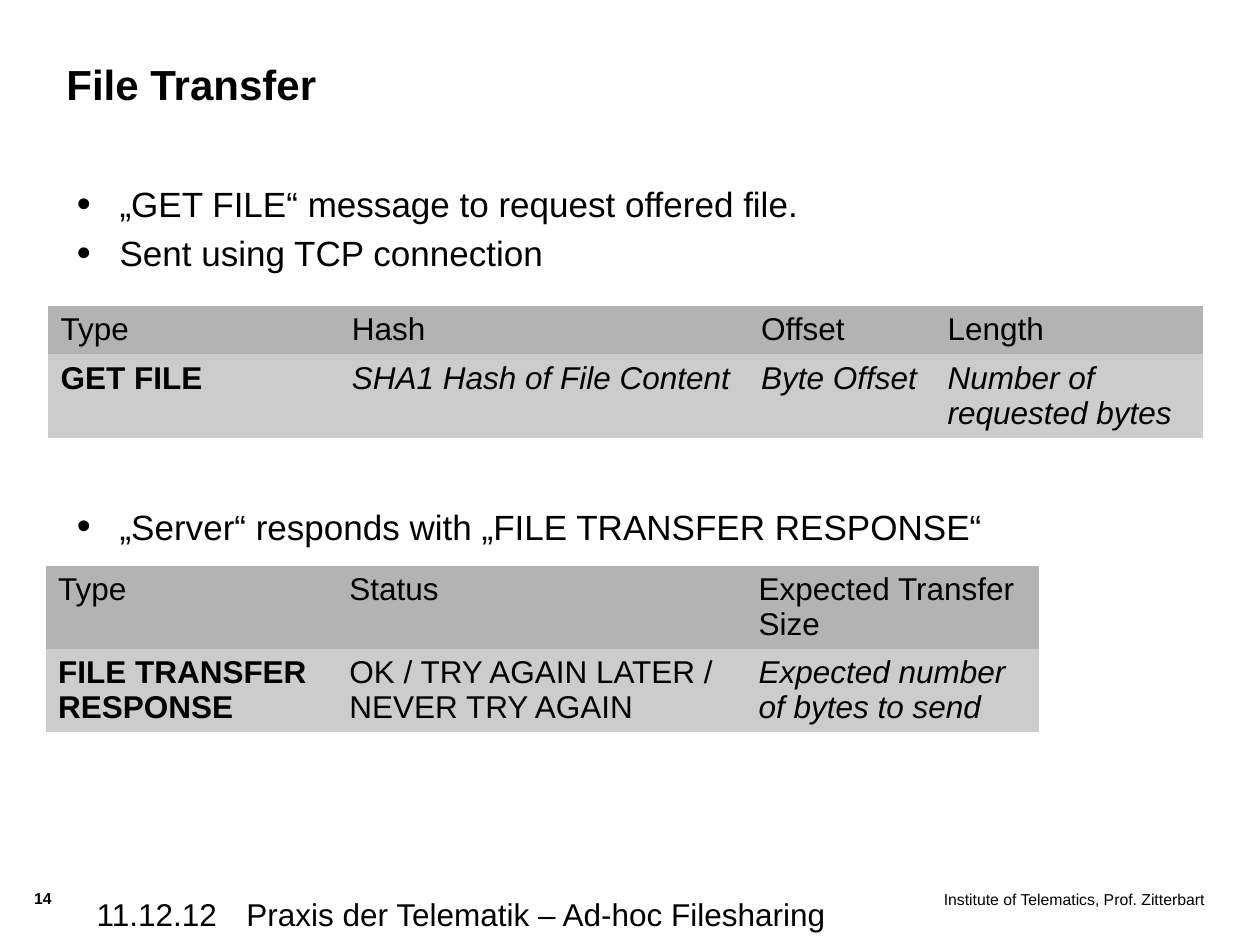
from dataclasses import dataclass
from lxml.etree import SubElement
from pptx import Presentation
from pptx.dml.color import RGBColor as Rgb
from pptx.enum.text import MSO_ANCHOR as Anchor, MSO_AUTO_SIZE as Fit, PP_ALIGN as Align
from pptx.oxml.ns import qn
from pptx.util import Cm, Pt

COLORS = {"text": "000000", "head": "B3B3B3", "row": "CCCCCC", "blank": "FFFFFF"}
FONT = "Arial"
PLAIN = "{2D5ABB26-0587-4C30-8999-92F81FD0307C}"  # table style without grid
PAD = (0.25, 0.13)


@dataclass
class Box:
    left: float
    top: float
    width: float
    height: float


@dataclass
class Note:
    text: str
    box: Box
    size: int = 18
    bold: bool = False
    align: Align = Align.LEFT
    pad: tuple = PAD


@dataclass
class Grid:
    left: float
    top: float
    cols: list
    rows: list
    cells: list  # each row holds (text, style) pairs; "b" is bold, "i" italic


def write(frame, text: str, *, size: int = 18, bold: bool = False,
          italic: bool = False, align: Align = Align.LEFT, bullet: bool = False,
          gap: float = 0, pad: tuple = PAD, anchor: Anchor = Anchor.TOP) -> None:
    """Fill a text frame, one paragraph per line of text."""
    frame.margin_left = frame.margin_right = Cm(pad[0])
    frame.margin_top = frame.margin_bottom = Cm(pad[1])
    frame.vertical_anchor = anchor
    for i, line in enumerate(text.split("\n")):
        para = frame.paragraphs[0] if i == 0 else frame.add_paragraph()
        para.alignment = align
        para.space_before = Pt(gap if i else 0)
        if bullet:
            props = para._p.get_or_add_pPr()
            props.set("marL", str(Cm(0.86)))
            props.set("indent", str(-Cm(0.86)))
            SubElement(props, qn("a:buSzPct"), val="114000")
            SubElement(props, qn("a:buFont"), typeface=FONT)
            SubElement(props, qn("a:buChar"), char="•")
        run = para.add_run()
        run.text = line
        font = run.font
        font.name, font.size = FONT, Pt(size)
        font.bold, font.italic = bold, italic
        font.color.rgb = Rgb.from_string(COLORS["text"])


def place(shape, box: Box):
    """Move a placeholder and return its text frame."""
    shape.left, shape.top = Cm(box.left), Cm(box.top)
    shape.width, shape.height = Cm(box.width), Cm(box.height)
    frame = shape.text_frame
    frame.word_wrap = True
    frame.auto_size = Fit.NONE
    return frame


def add_note(slide, note: Note) -> None:
    box = note.box
    shape = slide.shapes.add_textbox(0, 0, 0, 0)
    write(place(shape, box), note.text, size=note.size, bold=note.bold,
          align=note.align, pad=note.pad)


def add_grid(slide, grid: Grid) -> None:
    table = slide.shapes.add_table(
        len(grid.rows), len(grid.cols), Cm(grid.left), Cm(grid.top),
        Cm(sum(grid.cols)), Cm(sum(grid.rows))).table
    table.horz_banding = False
    table._tbl.tblPr.find(qn("a:tableStyleId")).text = PLAIN
    for col, width in zip(table.columns, grid.cols):
        col.width = Cm(width)
    for r, height in enumerate(grid.rows):
        table.rows[r].height = Cm(height)
        for c, (text, style) in enumerate(grid.cells[r]):
            cell = table.cell(r, c)
            tone = ("row" if r else "head") if text else "blank"
            cell.fill.solid()
            cell.fill.fore_color.rgb = Rgb.from_string(COLORS[tone])
            if text:
                write(cell.text_frame, text, bold=style == "b", italic=style == "i")


NOTES = [
    Note("Institute of Telematics, Prof. Zitterbart", Box(16.69, 17.93, 7.59, 0.99),
         size=9, align=Align.RIGHT, pad=(0, 0)),
    Note("14", Box(0.69, 17.91, 0.91, 0.61), size=9, bold=True, pad=(0, 0)),
    Note("Praxis der Telematik – Ad-hoc Filesharing", Box(4.72, 17.91, 12.78, 0.99)),
    Note("11.12.12", Box(1.7, 17.91, 3.3, 0.99)),
]

LISTS = {
    1: ("„GET FILE“ message to request offered file.\nSent using TCP connection",
        Box(1.3, 3.55, 23.2, 13.55)),
    2: ("„Server“ responds with „FILE TRANSFER RESPONSE“",
        Box(1.3, 10.05, 23.2, 7.05)),
}

GRIDS = [
    Grid(0.97, 6.17, [5.87, 8.25, 3.76, 5.4], [0.97, 1.68], [
        [("Type", ""), ("Hash", ""), ("Offset", ""), ("Length", "")],
        [("GET FILE", "b"), ("SHA1 Hash of File Content", "i"),
         ("Byte Offset", "i"), ("Number of requested bytes", "i")],
    ]),
    Grid(0.92, 11.4, [5.87, 8.25, 5.91, 3.25], [1.68, 1.68], [
        [("Type", ""), ("Status", ""), ("Expected Transfer Size", ""), ("", "")],
        [("FILE TRANSFER RESPONSE", "b"),
         ("OK / TRY AGAIN LATER / NEVER TRY AGAIN", ""),
         ("Expected number of bytes to send", "i"), ("", "")],
    ]),
]


def main() -> None:
    deck = Presentation()
    deck.slide_width, deck.slide_height = Cm(25.4), Cm(19.05)
    slide = deck.slides.add_slide(deck.slide_layouts.get_by_name("Two Content"))

    # Title and lists
    title = place(slide.shapes.title, Box(1.09, 0.91, 19.2, 1.55))
    write(title, "File Transfer", size=24, bold=True, anchor=Anchor.MIDDLE)
    for idx, (text, box) in LISTS.items():
        write(place(slide.placeholders[idx], box), text, size=20, bullet=True, gap=4)

    # Message tables
    for grid in GRIDS:
        add_grid(slide, grid)

    # Footer
    for note in NOTES:
        add_note(slide, note)

    deck.save("out.pptx")


if __name__ == "__main__":
    main()
